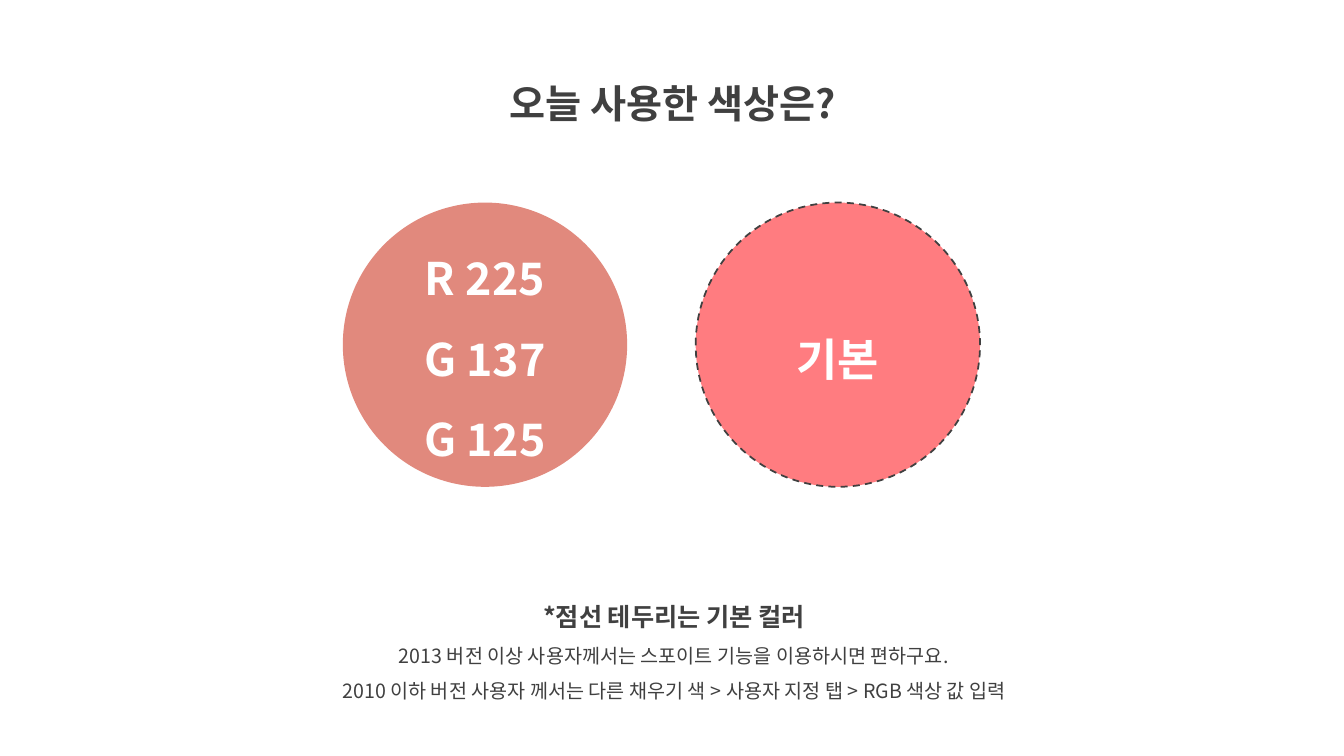
from lxml import etree
from pptx import Presentation
from pptx import util as u
from pptx.dml.color import RGBColor
from pptx.enum import dml, shapes, text
from pptx.oxml.ns import qn

WIDTH, HEIGHT = 13.33, 7.5
FONT = "Noto Sans CJK KR"
COLORS = {"ink": "404040", "white": "FFFFFF", "rose": "E1897D", "coral": "FF7C80"}
FRAME = {"word_wrap": True, "auto_size": text.MSO_AUTO_SIZE.NONE}
PARAGRAPH = {
    "alignment": text.PP_ALIGN.CENTER,
    "line_spacing": 1.5,
    "space_before": u.Pt(0),
    "space_after": u.Pt(0),
}
TITLE = "오늘 사용한 색상은?"
NOTES = [
    ("*점선 테두리는 기본 컬러", 18, True),
    ("2013 버전 이상 사용자께서는 스포이트 기능을 이용하시면 편하구요.", 14, False),
    ("2010 이하 버전 사용자 께서는 다른 채우기 색 > 사용자 지정 탭 > RGB 색상 값 입력", 14, False),
]
SWATCHES = [
    ("rose", ["R 225", "G 137", "G 125"], False),
    ("coral", ["기본"], True),
]
DIAMETER, PITCH = 2.82, 3.5
FIRST_LEFT, SWATCH_TOP = 3.4, 2.01


def rgb(name):
    return RGBColor.from_string(COLORS[name])


def apply(obj, values):
    for key, value in values.items():
        setattr(obj, key, value)


def place(sp, left, top, width, height):
    apply(sp, {
        "left": u.Inches(left),
        "top": u.Inches(top),
        "width": u.Inches(width),
        "height": u.Inches(height),
    })


def write(sp, lines, color, anchor):
    tf = sp.text_frame
    apply(tf, {**FRAME, "vertical_anchor": anchor})
    for i, (line, size, bold) in enumerate(lines):
        p = tf.add_paragraph() if i else tf.paragraphs[0]
        apply(p, PARAGRAPH)
        r = p.add_run()
        r.text = line
        apply(r.font, {"name": FONT, "size": u.Pt(size), "bold": bold})
        r.font.color.rgb = rgb(color)
        etree.SubElement(r.font._element, qn("a:ea"), typeface=FONT)


def remove_bullets(sp):
    for p in sp.text_frame.paragraphs:
        pPr = p._p.get_or_add_pPr()
        pPr.set("marL", "0")
        pPr.set("indent", "0")
        etree.SubElement(pPr, qn("a:buNone"))


def add_swatch(slide, column, fill, labels, dashed):
    left = FIRST_LEFT + column * PITCH
    sp = slide.shapes.add_shape(shapes.MSO_SHAPE.OVAL, 0, 0, 0, 0)
    place(sp, left, SWATCH_TOP, DIAMETER, DIAMETER)
    sp.shadow.inherit = False
    sp.fill.solid()
    sp.fill.fore_color.rgb = rgb(fill)
    if dashed:
        sp.line.color.rgb = rgb("ink")
        apply(sp.line, {"width": u.Pt(1.25), "dash_style": dml.MSO_LINE.DASH})
    else:
        sp.line.fill.background()
    write(sp, [(label, 32, True) for label in labels], "white", text.MSO_ANCHOR.MIDDLE)


def main():
    prs = Presentation()
    apply(prs, {"slide_width": u.Inches(WIDTH), "slide_height": u.Inches(HEIGHT)})
    slide = prs.slides.add_slide(prs.slide_layouts[1])
    title, notes = slide.placeholders
    place(title, 4.36, 0.5, 4.63, 0.72)
    write(title, [(TITLE, 28, True)], "ink", text.MSO_ANCHOR.TOP)
    place(notes, 2.69, 5.77, 7.99, 1.26)
    write(notes, NOTES, "ink", text.MSO_ANCHOR.TOP)
    remove_bullets(notes)
    for column, swatch in enumerate(SWATCHES):
        add_swatch(slide, column, *swatch)
    prs.save("out.pptx")


main()
